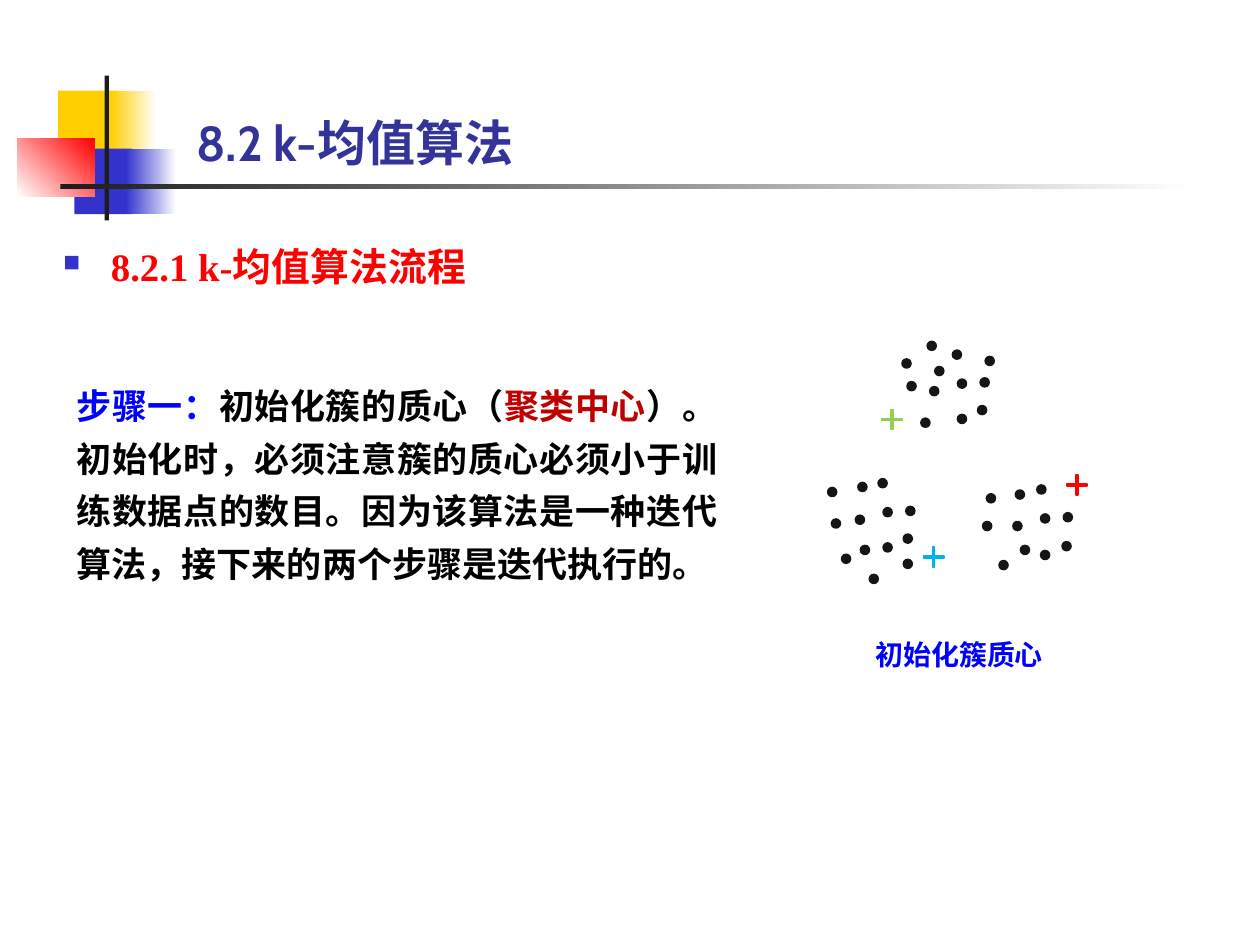
from lxml.etree import SubElement
from pptx import Presentation
from pptx.dml.color import RGBColor
from pptx.enum.shapes import MSO_SHAPE
from pptx.enum.text import MSO_ANCHOR, PP_ALIGN
from pptx.oxml.ns import qn
from pptx.util import Inches, Pt

COLS = 100
CELL = Inches(10) // COLS
BLUE, RED, BLACK = "0000FF", "FF0000", "000000"
WHITE, NAVY, GOLD, DARK = "FFFFFF", "3333CC", "FFCF01", "1C1C1C"
DOT, DOT_SIZE, CROSS_SIZE = "151515", 0.7, 1.6

ORNAMENT = [
    ((4.6, 7.2, 4.8, 5.2), [GOLD], 0),
    ((8.8, 7.2, 3.6, 5.2), [GOLD, WHITE], 0),
    ((5.9, 11.8, 4.6, 5.2), [NAVY], 0),
    ((10, 11.8, 4, 5.2), [NAVY, WHITE], 0),
    ((1.4, 11, 6.1, 4.6), [WHITE, RED], 45),
    ((8.3, 6, 0.35, 11.5), [DARK], 0),
    ((4.8, 14.6, 90, 0.4), [DARK, WHITE], 0),
]
CLUSTERS = {
    "left": [(68.1, 38.3), (69.7, 38), (65.7, 38.7), (67.9, 40.9), (70.1, 43.1),
             (71.9, 40.2), (69, 45.6), (71.7, 42.4), (71.7, 44.4), (70.1, 40.3),
             (66.8, 44), (66, 41.2), (68.3, 43.3)],
    "top": [(73.6, 27.1), (75.6, 27.8), (71.6, 28.5), (73.8, 30.7), (76, 32.9),
            (77.8, 30), (78.2, 28.3), (77.6, 32.2), (72, 30.3), (76, 30.1),
            (73.1, 33.2), (74.2, 29.1)],
    "right": [(80.6, 38.9), (82.3, 38.5), (78.3, 39.2), (80.4, 41.4), (82.6, 43.7),
              (84.4, 40.7), (81, 43.3), (84.3, 43), (78, 41.4), (82.6, 40.8),
              (79.3, 44.5)],
}
CENTROIDS = [(70, 32.5, "92D050"), (84.7, 37.7, RED), (73.3, 43.4, "00B0F0")]


def rgb(value):
    return RGBColor.from_string(value)


def cells(*units):
    return [round(u * CELL) for u in units]


def add_block(shapes, box, colors, angle):
    s = shapes.add_shape(MSO_SHAPE.RECTANGLE, *cells(*box))
    s.shadow.inherit = False
    s.line.fill.background()
    if len(colors) == 1:
        s.fill.solid()
        s.fill.fore_color.rgb = rgb(colors[0])
        return
    s.fill.gradient()
    s.fill.gradient_angle = angle
    for stop, color, position in zip(s.fill.gradient_stops, colors, (0, 1)):
        stop.color.rgb = rgb(color)
        stop.position = position


def add_mark(shapes, kind, x, y, size, color):
    s = shapes.add_shape(kind, *cells(x, y, size, size))
    s.shadow.inherit = False
    s.fill.solid()
    s.fill.fore_color.rgb = rgb(color)
    s.line.color.rgb = rgb(color)
    s.line.width = Pt(1)
    return s


def add_text(shapes, box, size, runs, anchor=MSO_ANCHOR.TOP):
    tf = shapes.add_textbox(*cells(*box)).text_frame
    tf.word_wrap = True
    tf.vertical_anchor = anchor
    p = tf.paragraphs[0]
    for text, font, color in runs:
        r = p.add_run()
        r.text = text
        r.font.name = font
        r.font.size = Pt(size)
        r.font.bold = True
        r.font.color.rgb = rgb(color)
    return tf


def add_bullet(p, color, percent, indent):
    pPr = p._p.get_or_add_pPr()
    pPr.set("marL", str(indent))
    pPr.set("indent", str(-indent))
    SubElement(SubElement(pPr, qn("a:buClr")), qn("a:srgbClr"), val=color)
    SubElement(pPr, qn("a:buSzPct"), val=str(percent * 1000))
    SubElement(pPr, qn("a:buChar"), char="■")


def add_scatter(shapes):
    group = shapes.add_group_shape().shapes
    for dots in CLUSTERS.values():
        for x, y in dots:
            add_mark(group, MSO_SHAPE.OVAL, x, y, DOT_SIZE, DOT)
    for x, y, color in CENTROIDS:
        s = add_mark(group, MSO_SHAPE.CROSS, x, y, CROSS_SIZE, color)
        s.adjustments[0] = 0.45
    add_text(group, (68.5, 50.1, 15.9, 3.7), 16, [("初始化簇质心", "Cabin", BLUE)])


def add_step(shapes):
    tf = add_text(shapes, (5.1, 29.2, 52.8, 17.7), 20, [
        ("步骤一：", "Cabin", BLUE),
        ("初始化簇的质心（", "Cabin", BLACK),
        ("聚类中心", "Times New Roman", "C00000"),
        ("）。初始化时，必须注意簇的质心必须小于训练数据点的数目。"
         "因为该算法是一种迭代算法，接下来的两个步骤是迭代执行的。", "Cabin", BLACK),
    ])
    tf.paragraphs[0].alignment = PP_ALIGN.JUSTIFY
    tf.paragraphs[0].line_spacing = 1.25


def add_heading(shapes):
    tf = add_text(shapes, (4.3, 17, 36.2, 7.6), 22.2,
                  [("8.2.1 k-均值算法流程", "Times New Roman", RED)], MSO_ANCHOR.MIDDLE)
    tf.margin_left, tf.margin_right = cells(0.7, 0.8)
    tf.margin_top = tf.margin_bottom = cells(0.4)[0]
    p = tf.paragraphs[0]
    add_bullet(p, NAVY, 60, cells(3.8)[0])
    p.line_spacing = 1.15


def main():
    prs = Presentation()
    prs.slide_width, prs.slide_height = Inches(10), Inches(7.5)
    shapes = prs.slides.add_slide(prs.slide_layouts[6]).shapes
    for box, colors, angle in ORNAMENT:
        add_block(shapes, box, colors, angle)
    add_scatter(shapes)
    add_step(shapes)
    add_text(shapes, (14.6, 7.6, 32.3, 6.5), 28,
             [("8.2 k-均值算法", "Cabin", "333399")], MSO_ANCHOR.BOTTOM)
    add_heading(shapes)
    prs.save("out.pptx")


if __name__ == "__main__":
    main()
